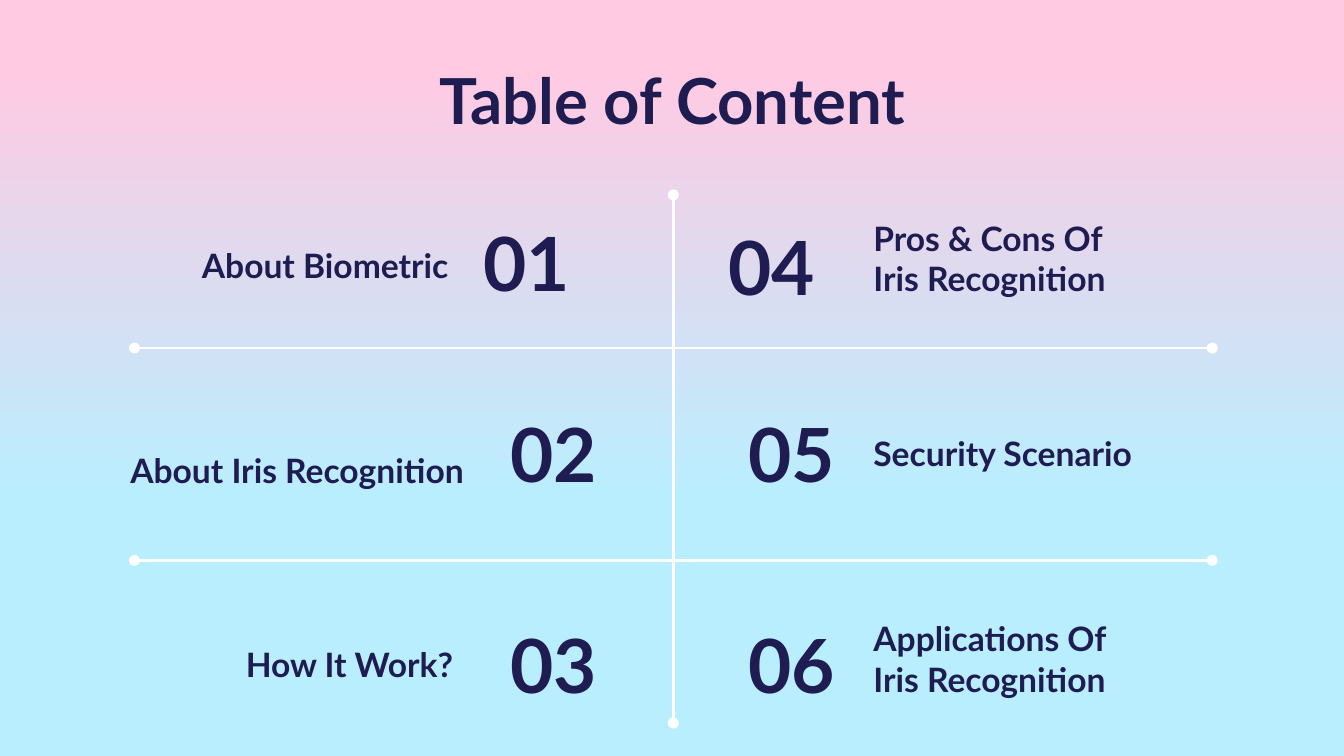
from lxml import etree
from pptx import Presentation
from pptx.dml.color import RGBColor
from pptx.enum.shapes import MSO_CONNECTOR
from pptx.enum.text import MSO_ANCHOR, MSO_AUTO_SIZE, PP_ALIGN
from pptx.oxml.ns import qn
from pptx.util import Inches, Pt

LEFT, CENTER, RIGHT = PP_ALIGN.LEFT, PP_ALIGN.CENTER, PP_ALIGN.RIGHT
MIDDLE, BOTTOM = MSO_ANCHOR.MIDDLE, MSO_ANCHOR.BOTTOM
STRAIGHT = MSO_CONNECTOR.STRAIGHT
NO_FIT = MSO_AUTO_SIZE.NONE

FONT = "Lato"
COLORS = {"ink": "1F1C51", "rule": "FFFFFF", "sky_top": "FFCAE2", "sky_low": "B9EEFF"}

# Content: lines, (left, top, width, height), alignment
TITLE = "Table of Content"
LABELS = [
    (["About Biometric"], (1.26, 1.72, 2.32, 0.5), CENTER),
    (["About Iris Recognition"], (0.57, 3.25, 2.98, 0.5), RIGHT),
    (["How It Work?"], (0.49, 4.69, 2.98, 0.5), RIGHT),
    (["Pros & Cons Of", "Iris Recognition"], (6.4, 1.62, 2.98, 0.7), LEFT),
    (["Security Scenario"], (6.4, 3.12, 2.98, 0.5), LEFT),
    (["Applications Of", "Iris Recognition"], (6.4, 4.54, 2.98, 0.76), LEFT),
]
# Left, top and alignment of each section number, in order
NUMBERS = [
    (3.5, 1.52, LEFT), (3.7, 2.94, LEFT), (3.7, 4.51, LEFT),
    (5.09, 1.55, CENTER), (5.01, 2.94, RIGHT), (5.01, 4.51, RIGHT),
]
NUMBER_SIZE = (1.3, 0.86)
RULES = [
    (5.01, 1.45, 5.01, 5.38),
    (1, 2.59, 9.02, 2.59),
    (1, 4.17, 9.02, 4.17),
]


def rgb(name):
    return RGBColor.from_string(COLORS[name])


def write(sp, lines, size, align, anchor):
    tf = sp.text_frame
    tf.word_wrap = True
    tf.auto_size = NO_FIT
    tf.vertical_anchor = anchor
    tf.margin_left = tf.margin_right = tf.margin_top = tf.margin_bottom = Inches(0.1)
    p = tf.paragraphs[0]
    p.alignment = align
    for i, line in enumerate(lines):
        if i:
            p.add_line_break()
        r = p.add_run()
        r.text = line
        r.font.name, r.font.size, r.font.bold = FONT, Pt(size), True
        r.font.color.rgb = rgb("ink")


def add_text(s, lines, box, size, align, anchor):
    sp = s.shapes.add_textbox(*map(Inches, box))
    write(sp, lines, size, align, anchor)


def add_rule(s, ends):
    line = s.shapes.add_connector(STRAIGHT, *map(Inches, ends))
    line.line.color.rgb = rgb("rule")
    line.line.width = Pt(1.5)
    ln = line.line._get_or_add_ln()
    for end in ("a:headEnd", "a:tailEnd"):
        etree.SubElement(ln, qn(end), type="oval")
    etree.SubElement(line._element.spPr, qn("a:effectLst"))


# Widescreen 16:9 slide
prs = Presentation()
prs.slide_width = Inches(10)
prs.slide_height = prs.slide_width * 9 // 16
s = prs.slides.add_slide(prs.slide_layouts[5])

# Background fading from top to bottom
fill = s.background.fill
fill.gradient()
fill.gradient_angle = 270
for stop, (position, name) in zip(fill.gradient_stops, [(0.09, "sky_top"), (0.66, "sky_low")]):
    stop.position = position
    stop.color.rgb = rgb(name)

# Title
title = s.shapes.title
title.left, title.top, title.width, title.height = map(Inches, (2.99, 0.29, 4.03, 0.83))
write(title, [TITLE], 34, CENTER, BOTTOM)

# Section labels and numbers
for lines, box, align in LABELS:
    add_text(s, lines, box, 18, align, BOTTOM)
for n, (left, top, align) in enumerate(NUMBERS, 1):
    add_text(s, [f"{n:02d}"], (left, top, *NUMBER_SIZE), 40, align, MIDDLE)

# Dividing rules with round ends
for ends in RULES:
    add_rule(s, ends)

prs.save("out.pptx")
